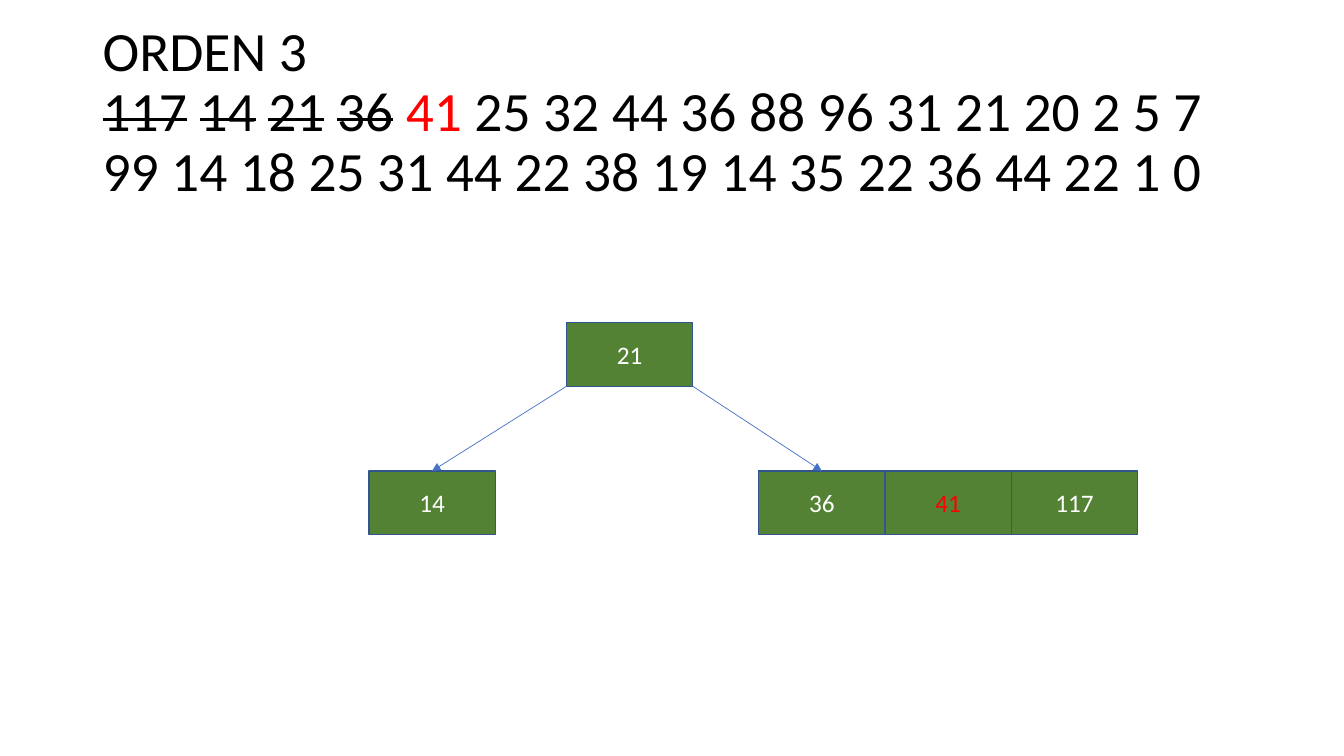
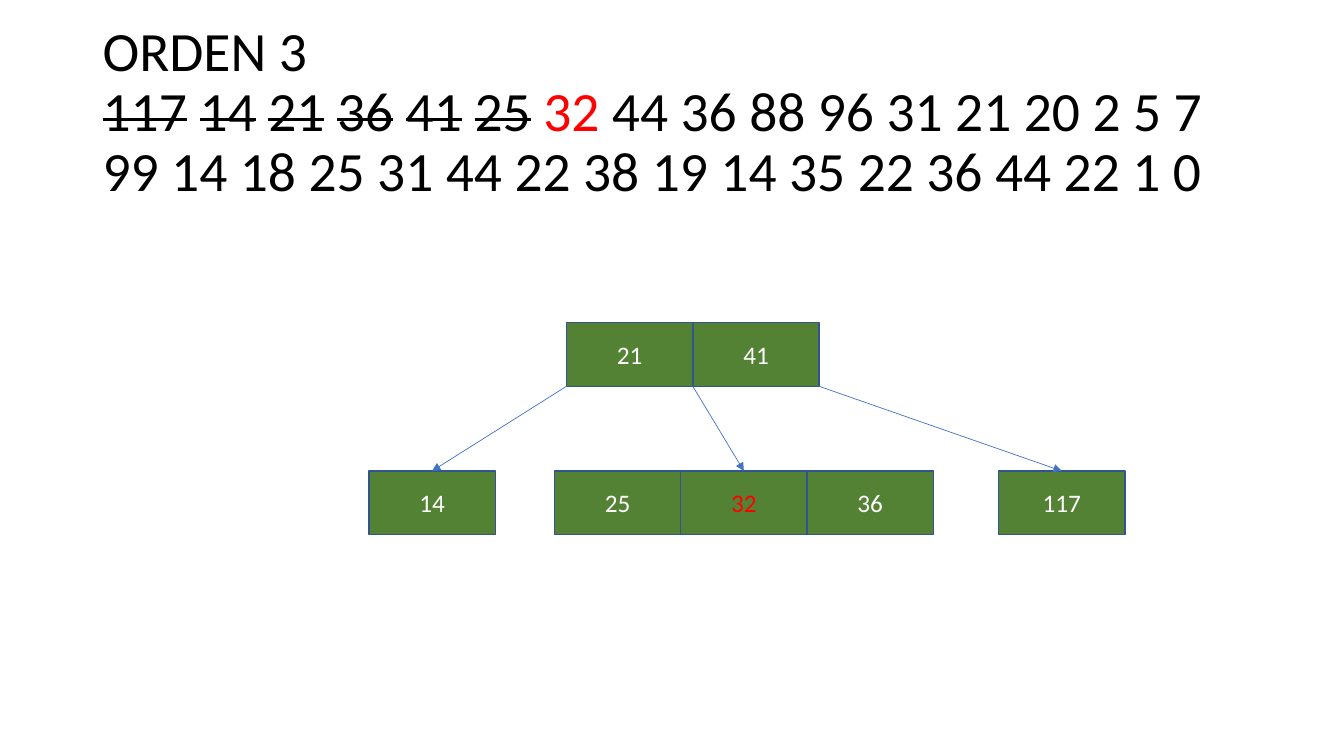
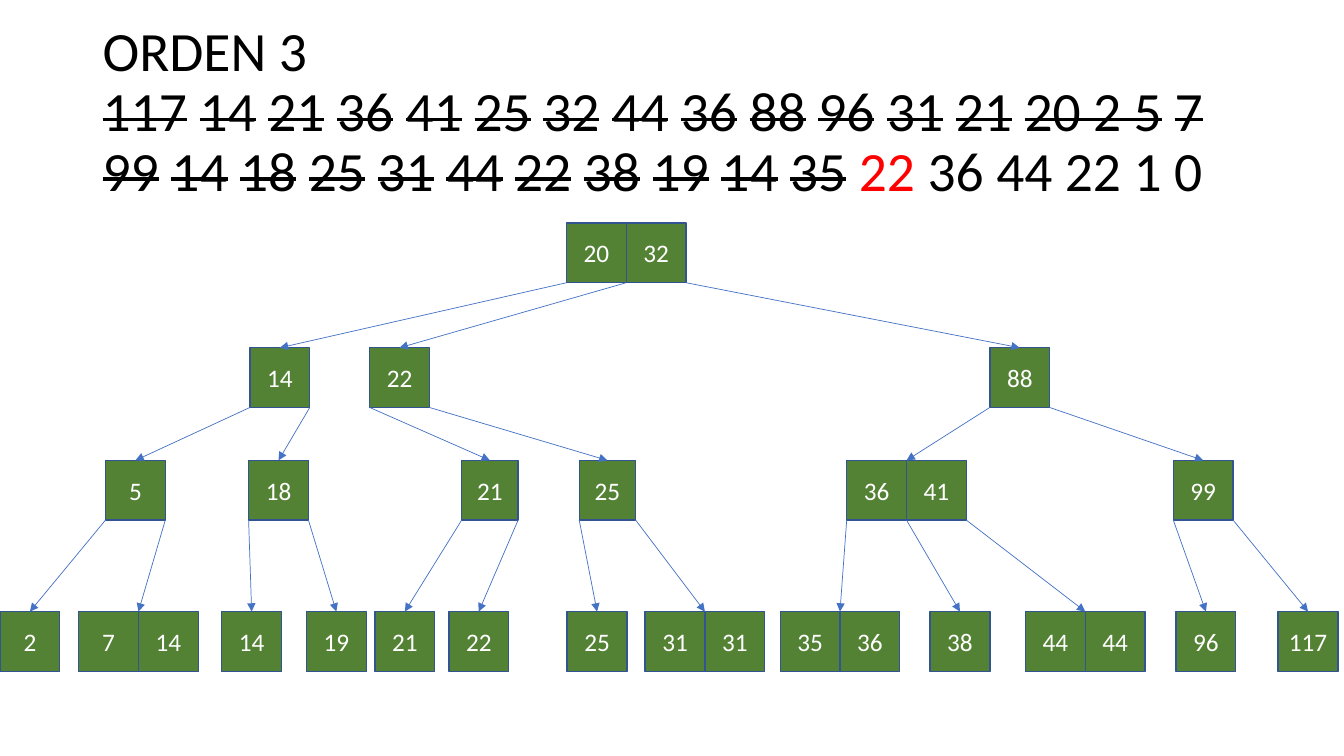
import dataclasses
import typing

import lxml.etree
import pptx
import pptx.dml.color
import pptx.enum.shapes
import pptx.enum.text
import pptx.oxml.ns
import pptx.util

RGBColor = pptx.dml.color.RGBColor
BLACK = RGBColor(0x00, 0x00, 0x00)
WHITE = RGBColor(0xFF, 0xFF, 0xFF)
RED = RGBColor(0xFF, 0x00, 0x00)
KEY_GREEN = RGBColor(0x54, 0x82, 0x35)
KEY_BORDER = RGBColor(0x32, 0x54, 0x91)
ARROW_BLUE = RGBColor(0x44, 0x72, 0xC4)
FONT = "Calibri"

SLIDE_WIDTH = pptx.util.Inches(13.33)
SLIDE_HEIGHT = pptx.util.Inches(7.5)
GRID = 100

HEADING = "ORDEN 3"
SEQUENCE = (
    "117 14 21 36 41 25 32 44 36 88 96 31 21".split()
    + ["20 2 5"]
    + "7 99 14 18 25 31 44 22 38 19 14 35 22 36 44 22 1 0".split()
)


@dataclasses.dataclass
class Box:
    left: float
    top: float
    width: float
    height: float

    def x(self, columns):
        return round(self.left + self.width * columns / GRID)

    def y(self, rows):
        return round(self.top + self.height * rows / GRID)


@dataclasses.dataclass
class Node:
    left: float
    keys: str
    children: typing.Sequence = ()
    entry: float = 0.5
    key_width: typing.Optional[float] = None


@dataclasses.dataclass
class Levels:
    tops: typing.Sequence
    key_width: float
    key_height: float


def add_run(paragraph, text, size, color, struck=False):
    run = paragraph.add_run()
    run.text = text
    run.font.name = FONT
    run.font.size = pptx.util.Pt(size)
    run.font.color.rgb = color
    if struck:
        run.font._element.set("strike", "sngStrike")


def add_title(slide, box, done):
    frame = slide.shapes.add_textbox(box.left, box.top, box.width, box.height).text_frame
    frame.word_wrap = True
    frame.vertical_anchor = pptx.enum.text.MSO_ANCHOR.MIDDLE
    paragraph = frame.paragraphs[0]
    paragraph.line_spacing = 0.9
    add_run(paragraph, HEADING, 39.6, BLACK)
    paragraph.add_line_break()
    for number in SEQUENCE[:done]:
        add_run(paragraph, number, 39.6, BLACK, struck=True)
        add_run(paragraph, " ", 39.6, BLACK)
    add_run(paragraph, SEQUENCE[done], 39.6, RED)
    add_run(paragraph, " " + " ".join(SEQUENCE[done + 1:]), 39.6, BLACK)


def add_key(slide, box, key, color):
    cell = slide.shapes.add_shape(
        pptx.enum.shapes.MSO_SHAPE.RECTANGLE, box.left, box.top, box.width, box.height)
    cell.shadow.inherit = False
    cell.fill.solid()
    cell.fill.fore_color.rgb = KEY_GREEN
    cell.line.color.rgb = KEY_BORDER
    cell.line.width = pptx.util.Pt(1)
    frame = cell.text_frame
    frame.word_wrap = False
    frame.vertical_anchor = pptx.enum.text.MSO_ANCHOR.MIDDLE
    frame.paragraphs[0].alignment = pptx.enum.text.PP_ALIGN.CENTER
    add_run(frame.paragraphs[0], key, 18, color)


def add_arrow(slide, start, end):
    arrow = slide.shapes.add_connector(
        pptx.enum.shapes.MSO_CONNECTOR.STRAIGHT, *start, *end)
    arrow.line.color.rgb = ARROW_BLUE
    arrow.line.width = pptx.util.Pt(0.5)
    qn = pptx.oxml.ns.qn
    lxml.etree.SubElement(arrow.line._get_or_add_ln(), qn("a:tailEnd"), type="triangle")
    lxml.etree.SubElement(arrow._element.spPr, qn("a:effectLst"))


def add_tree(slide, box, node, levels, inserted=None, depth=0):
    keys = node.keys.split()
    key_width = node.key_width or levels.key_width
    top = levels.tops[depth]
    bottom = top + levels.key_height
    width = box.x(key_width) - box.x(0)
    height = box.y(levels.key_height) - box.y(0)
    for place, key in enumerate(keys):
        key_box = Box(box.x(node.left + place * key_width), box.y(top), width, height)
        add_key(slide, key_box, key, RED if key == inserted else WHITE)
    for place, child in enumerate(node.children):
        start = box.x(node.left + place * key_width), box.y(bottom)
        entry = add_tree(slide, box, child, levels, inserted, depth + 1)
        add_arrow(slide, start, entry)
    return box.x(node.left + len(keys) * key_width * node.entry), box.y(top)


def add_step(deck, done, root, levels, inserted=None):
    slide = deck.slides.add_slide(deck.slide_layouts[6])
    page = Box(0, 0, SLIDE_WIDTH, SLIDE_HEIGHT)
    title_box = Box(page.x(6.9), page.y(5.35), page.x(86.25), page.y(19.3))
    add_title(slide, title_box, done)
    add_tree(slide, page, root, levels, inserted)


SMALL_TREE = Levels(tops=(42.7, 62.3), key_width=9.4, key_height=8.4)
LARGE_TREE = Levels(tops=(29.5, 46, 60.9, 80.9), key_width=4.45, key_height=7.9)

AFTER_41 = Node(42.15, "21", [
    Node(27.45, "14"),
    Node(56.45, "36 41 117", entry=1 / 6),
])

AFTER_32 = Node(42.15, "21 41", [
    Node(27.45, "14"),
    Node(41.25, "25 32 36"),
    Node(74.3, "117"),
])

BEFORE_22 = Node(42.15, "20 32", [
    Node(18.6, "14", [
        Node(7.85, "5", [Node(0, "2"), Node(5.85, "7 14")]),
        Node(18.5, "18", [Node(16.5, "14"), Node(22.8, "19")]),
    ]),
    Node(27.5, "22", [
        Node(34.35, "21", [Node(27.9, "21"), Node(33.4, "22")], key_width=4.2),
        Node(43.1, "25", [Node(42.2, "25"), Node(48, "31 31")], key_width=4.2),
    ]),
    Node(73.65, "88", [
        Node(63, "36 41", [Node(58.05, "35 36"), Node(69.2, "38"), Node(76.3, "44 44")]),
        Node(87.3, "99", [Node(87.5, "96"), Node(95.1, "117")]),
    ]),
])

deck = pptx.Presentation()
deck.slide_width = SLIDE_WIDTH
deck.slide_height = SLIDE_HEIGHT
add_step(deck, 4, AFTER_41, SMALL_TREE, inserted="41")
add_step(deck, 6, AFTER_32, SMALL_TREE, inserted="32")
add_step(deck, 26, BEFORE_22, LARGE_TREE)
deck.save("out.pptx")
